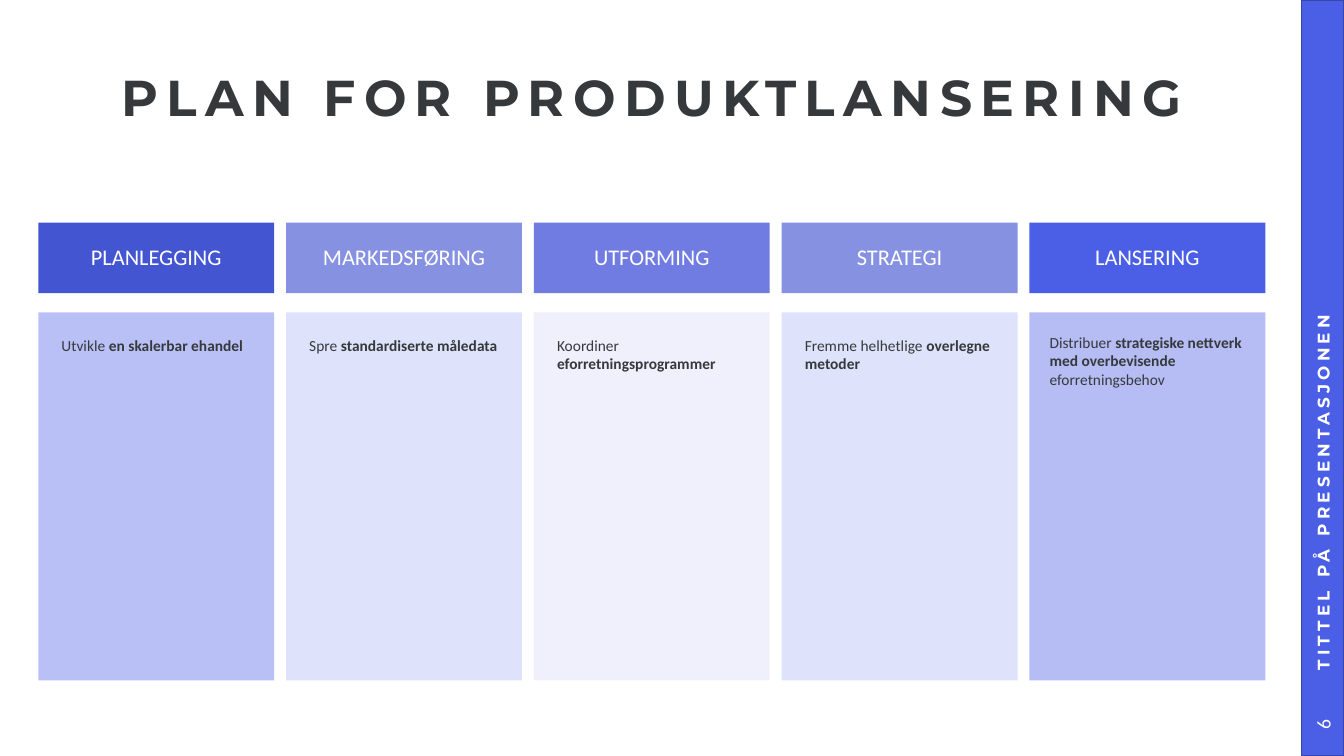
from dataclasses import dataclass

from lxml.etree import SubElement
from pptx import Presentation
from pptx.dml.color import RGBColor
from pptx.enum.shapes import MSO_SHAPE
from pptx.enum.text import MSO_ANCHOR, PP_ALIGN
from pptx.oxml.ns import qn
from pptx.util import Inches, Pt


@dataclass(frozen=True)
class Theme:
    heading_font: str = "Montserrat"
    body_font: str = "Calibri"
    title_size: int = 36
    phase_size: int = 16
    number_size: int = 14
    footer_size: int = 12
    body_size: int = 11
    ink: str = "36393B"
    white: str = "FFFFFF"
    accent: str = "4A5EE6"
    accent_edge: str = "3746AA"
    royal: str = "4355D1"
    navy: str = "1C32C8"
    violet: str = "707CE1"
    periwinkle: str = "929EF0"
    pale: str = "B7BFF5"
    mist: str = "DBDFFA"


class SlideBuilder:
    def __init__(self, slide, theme):
        self.slide = slide
        self.theme = theme

    def rectangle(self, left, top, width, height, color, opacity=100, edge=None):
        shape = self.slide.shapes.add_shape(
            MSO_SHAPE.RECTANGLE, *map(Inches, (left, top, width, height)))
        shape.shadow.inherit = False
        shape.fill.solid()
        shape.fill.fore_color.rgb = RGBColor.from_string(color)
        if opacity < 100:
            fill_color = shape.element.spPr.find(qn("a:solidFill")).find(qn("a:srgbClr"))
            SubElement(fill_color, qn("a:alpha"), val=str(opacity * 1000))
        if edge:
            shape.line.color.rgb = RGBColor.from_string(edge)
            shape.line.width = Pt(1)
        else:
            shape.line.fill.background()
        return shape

    def fill_text(self, shape, lines, size, color, font=None, align=PP_ALIGN.LEFT,
                  anchor=MSO_ANCHOR.MIDDLE, insets=(0, 0, 0, 0), line_spacing=1.0,
                  tracking=0):
        """Each line is a list of (text, bold) pairs."""
        frame = shape.text_frame
        left, top, right, bottom = map(Inches, insets)
        frame_format = {"word_wrap": True, "vertical_anchor": anchor,
                        "margin_left": left, "margin_top": top,
                        "margin_right": right, "margin_bottom": bottom}
        for name, value in frame_format.items():
            setattr(frame, name, value)
        paragraph = frame.paragraphs[0]
        for name, value in {"alignment": align, "line_spacing": line_spacing}.items():
            setattr(paragraph, name, value)
        for index, line in enumerate(lines):
            if index:
                paragraph.add_line_break()
            for text, bold in line:
                run = paragraph.add_run()
                run.text = text
                run_format = {"name": font or self.theme.body_font,
                              "size": Pt(size), "bold": bold}
                for name, value in run_format.items():
                    setattr(run.font, name, value)
                run.font.color.rgb = RGBColor.from_string(color)
                if tracking:
                    run._r.get_or_add_rPr().set("spc", str(tracking * 100))

    def text(self, left, top, width, height, lines, size, color, rotation=0, **style):
        box = self.slide.shapes.add_textbox(*map(Inches, (left, top, width, height)))
        box.rotation = rotation
        self.fill_text(box, lines, size, color, **style)

    def phase(self, left, name, lines, header_fill, body_fill, body_inset):
        """A header block with its description panel below."""
        theme = self.theme
        header = self.rectangle(left, 2.21, 2.34, 0.7, *header_fill)
        self.fill_text(header, [[(name, False)]], theme.phase_size, theme.white,
                       align=PP_ALIGN.CENTER, insets=(0.18,) * 4, line_spacing=0.9)
        panel = self.rectangle(left, 3.1, 2.34, 3.65, *body_fill)
        self.fill_text(panel, lines, theme.body_size, theme.ink,
                       anchor=MSO_ANCHOR.TOP, insets=(body_inset,) * 4)


def main():
    presentation = Presentation()
    presentation.slide_width = Inches(13.33)
    presentation.slide_height = Inches(7.5)
    theme = Theme()
    slide = presentation.slides.add_slide(presentation.slide_layouts[6])
    builder = SlideBuilder(slide, theme)

    # Side band
    builder.rectangle(12.91, 0, 0.42, 7.5, theme.accent, edge=theme.accent_edge)

    # Launch phases: name, description, header fill, panel fill, panel inset
    phases = [
        ("PLANLEGGING", [[("Utvikle ", False), ("en skalerbar ehandel", True)]],
         (theme.royal,), (theme.periwinkle, 64), 0.23),
        ("MARKEDSFØRING", [[("Spre ", False), ("standardiserte måledata", True)]],
         (theme.navy, 53), (theme.pale, 45), 0.23),
        ("UTFORMING", [[("Koordiner ", False), ("eforretningsprogrammer", True)]],
         (theme.violet,), (theme.mist, 44), 0.23),
        ("STRATEGI", [[("Fremme helhetlige ", False), ("overlegne metoder", True)]],
         (theme.navy, 53), (theme.pale, 45), 0.23),
        ("LANSERING", [[("Distribuer ", False),
                        ("strategiske nettverk med overbevisende", True)],
                       [("eforretningsbehov", False)]],
         (theme.accent,), (theme.periwinkle, 68), 0.2),
    ]
    first_left, last_left = 0.38, 10.21
    pitch = (last_left - first_left) / (len(phases) - 1)
    for index, phase in enumerate(phases):
        builder.phase(first_left + index * pitch, *phase)

    # Title
    builder.text(0.93, 0.32, 11.07, 1.35, [[("PLAN FOR PRODUKTLANSERING", True)]],
                 theme.title_size, theme.ink, font=theme.heading_font,
                 align=PP_ALIGN.CENTER, line_spacing=0.9, tracking=6)

    # Footer and slide number on the band
    builder.text(9.68, 3.23, 6.88, 0.42, [[("TITTEL PÅ PRESENTASJONEN", True)]],
                 theme.footer_size, theme.white, rotation=270, font=theme.heading_font,
                 insets=(0.23, 0.05, 0.1, 0.05), tracking=3)
    builder.text(12.81, 6.98, 0.62, 0.42, [[("6", False)]],
                 theme.number_size, theme.white, rotation=270,
                 align=PP_ALIGN.CENTER, insets=(0.1, 0.05, 0.1, 0.05))

    presentation.save("out.pptx")


if __name__ == "__main__":
    main()
